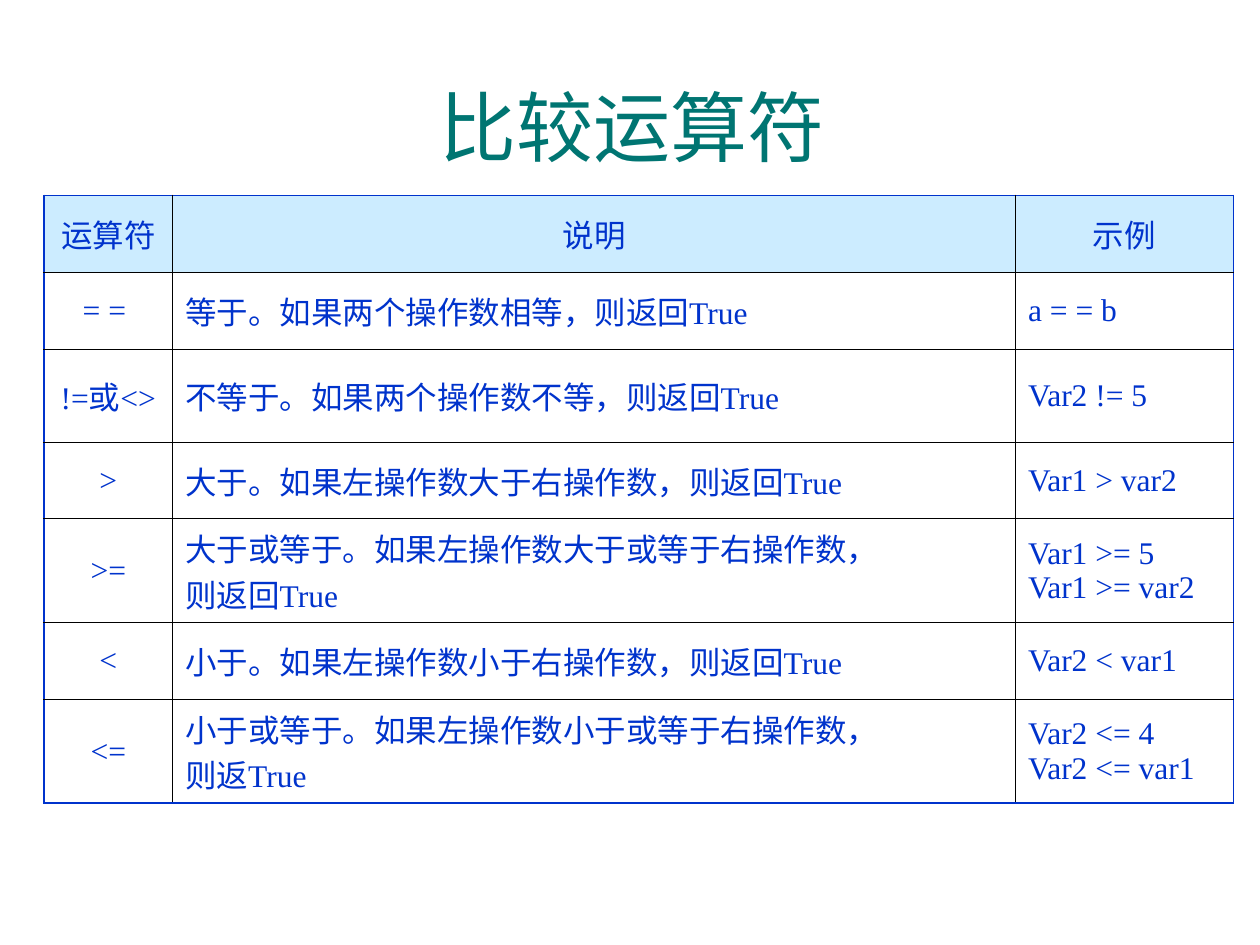
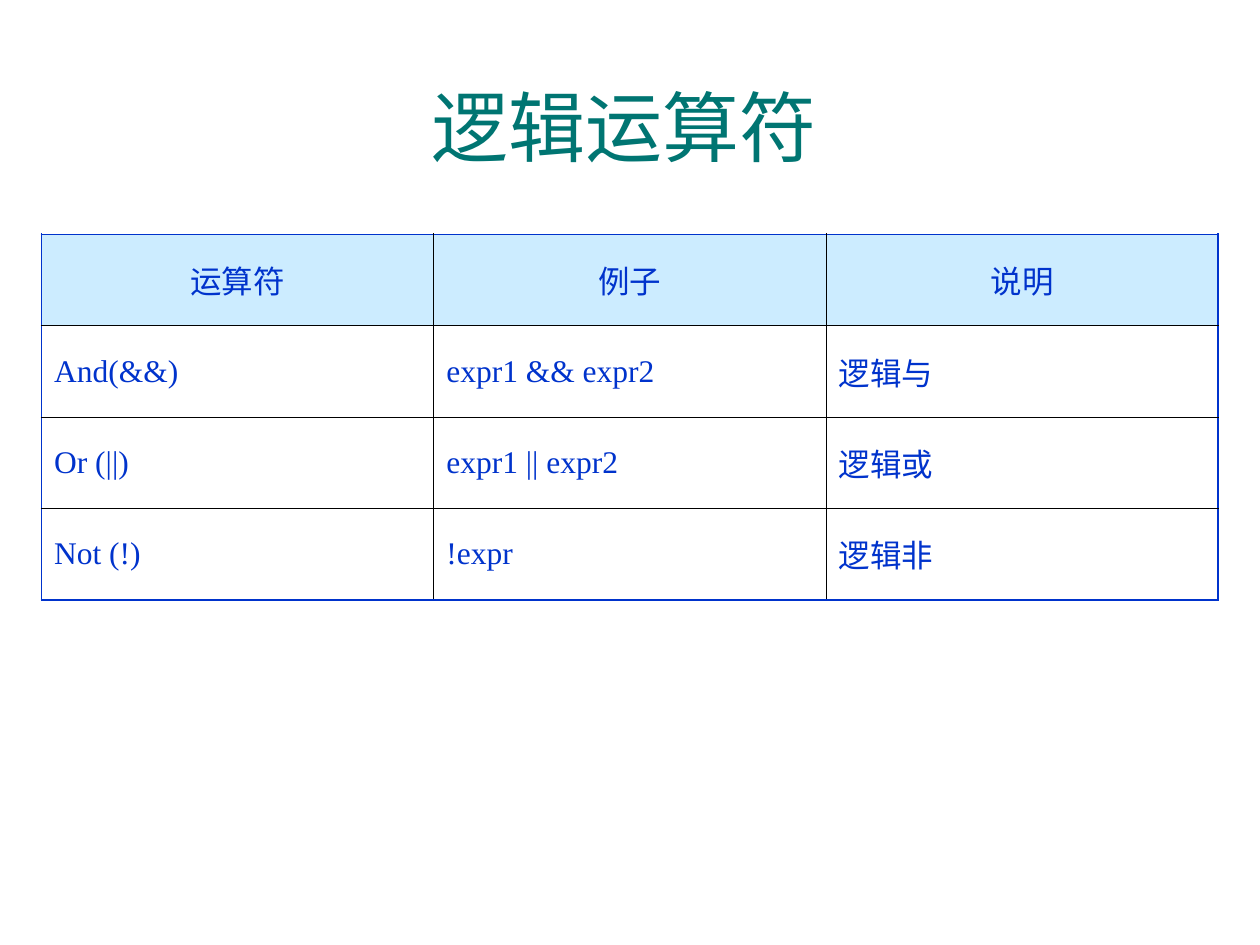
from dataclasses import dataclass

from lxml import etree
from pptx import Presentation
from pptx import util as u
from pptx.dml.color import RGBColor
from pptx.enum import text
from pptx.oxml.ns import qn


@dataclass(frozen=True)
class Theme:
    title_color: str = "007572"
    ink: str = "0033CC"
    header_fill: str = "CCECFF"
    rule: str = "000000"
    title_font: str = "Arial"
    body_font: str = "Times New Roman"
    title_size: float = 44
    body_size: float = 18
    frame_width: float = 1.08
    rule_width: float = 0.45
    hanging: float = 0.38


@dataclass(frozen=True)
class Area:
    """A rectangle in percent of the slide's width and height."""
    left: float
    top: float
    width: float
    height: float


@dataclass(frozen=True)
class OperatorTable:
    """Column widths and row heights are percent of the slide's size."""
    title: str
    left: float
    top: float
    columns: tuple[float, ...]
    heights: tuple[float, ...]
    centred_columns: tuple[int, ...]
    rows: tuple[tuple[str, ...], ...]


THEME = Theme()
SLIDE_W, SLIDE_H = u.Inches(10), u.Inches(7.5)
TITLE_AREA = Area(3.5, 4.93, 93.4, 16.67)
SHORT, TALL = 8.13, 9.33

COMPARISON = OperatorTable(
    title="比较运算符",
    left=3.5, top=20.67,
    columns=(10.2, 66.9, 17.3),
    heights=(SHORT, SHORT, TALL, SHORT, TALL, SHORT, TALL),
    centred_columns=(0,),
    rows=(
        ("运算符", "说明", "示例"),
        ("= = ", "等于。如果两个操作数相等，则返回True", "a = = b"),
        ("!=或<>", "不等于。如果两个操作数不等，则返回True", "Var2 != 5"),
        (">", "大于。如果左操作数大于右操作数，则返回True", "Var1 > var2"),
        (">=", "大于或等于。如果左操作数大于或等于右操作数，\n则返回True",
         "Var1 >= 5\nVar1 >= var2"),
        ("<", "小于。如果左操作数小于右操作数，则返回True", "Var2 < var1"),
        ("<=", "小于或等于。如果左操作数小于或等于右操作数，\n则返True",
         "Var2 <= 4\nVar2 <= var1"),
    ),
)

LOGIC = OperatorTable(
    title="逻辑运算符 ",
    left=3.3, top=24.8,
    columns=(31.13,) * 3,
    heights=(9.67,) * 4,
    centred_columns=(),
    rows=(
        ("运算符", "例子", "说明"),
        ("And(&&)", "expr1 && expr2", "逻辑与"),
        ("Or (||)", "expr1 || expr2", "逻辑或"),
        ("Not (!)", "!expr", "逻辑非"),
    ),
)


def across(percent: float) -> int:
    return round(SLIDE_W * percent / 100)


def down(percent: float) -> int:
    return round(SLIDE_H * percent / 100)


def place(area: Area) -> tuple[int, int, int, int]:
    return across(area.left), down(area.top), across(area.width), down(area.height)


def format_runs(p, font: str, size: float, color: str) -> None:
    for r in p.runs:
        r.font.name = font
        r.font.size = u.Pt(size)
        r.font.bold = False
        r.font.color.rgb = RGBColor.from_string(color)


def add_title(slide, title: str) -> None:
    sp = slide.shapes.title
    sp.left, sp.top, sp.width, sp.height = place(TITLE_AREA)
    tf = sp.text_frame
    tf.text = title
    tf.word_wrap = True
    tf.auto_size = text.MSO_AUTO_SIZE.NONE
    tf.vertical_anchor = text.MSO_ANCHOR.MIDDLE
    p = tf.paragraphs[0]
    p.alignment = text.PP_ALIGN.CENTER
    format_runs(p, THEME.title_font, THEME.title_size, THEME.title_color)


def set_borders(cell, framed: dict[str, bool]) -> None:
    """Draw the sides marked True as outer frame, the others as inner rules."""
    tc_pr = cell._tc.get_or_add_tcPr()
    for side, on_frame in framed.items():
        width = THEME.frame_width if on_frame else THEME.rule_width
        color = THEME.ink if on_frame else THEME.rule
        ln = etree.SubElement(tc_pr, qn(f"a:ln{side}"), w=str(u.Pt(width)))
        fill = etree.SubElement(ln, qn("a:solidFill"))
        etree.SubElement(fill, qn("a:srgbClr"), val=color)


def fill_cell(cell, content: str, header: bool, centred: bool) -> None:
    if header:
        cell.fill.solid()
        cell.fill.fore_color.rgb = RGBColor.from_string(THEME.header_fill)
    else:
        cell.fill.background()
    cell.vertical_anchor = text.MSO_ANCHOR.MIDDLE
    cell.text_frame.text = content
    hanging = u.Inches(THEME.hanging)
    for p in cell.text_frame.paragraphs:
        p_pr = p._p.get_or_add_pPr()
        p_pr.set("marL", str(hanging))
        p_pr.set("indent", str(-hanging))
        p.alignment = text.PP_ALIGN.CENTER if centred else text.PP_ALIGN.LEFT
        format_runs(p, THEME.body_font, THEME.body_size, THEME.ink)


def add_operator_table(slide, data: OperatorTable) -> None:
    area = Area(data.left, data.top, sum(data.columns), sum(data.heights))
    n_rows, n_cols = len(data.heights), len(data.columns)
    table = slide.shapes.add_table(n_rows, n_cols, *place(area)).table
    table.first_row = table.horz_banding = False
    for column, width in zip(table.columns, data.columns):
        column.width = across(width)
    for row, height in zip(table.rows, data.heights):
        row.height = down(height)
    for i, contents in enumerate(data.rows):
        for j, content in enumerate(contents):
            cell = table.cell(i, j)
            set_borders(cell, {"L": j == 0, "R": j == n_cols - 1,
                               "T": i == 0, "B": i == n_rows - 1})
            fill_cell(cell, content, header=i == 0,
                      centred=i == 0 or j in data.centred_columns)


def main() -> None:
    prs = Presentation()
    prs.slide_width, prs.slide_height = SLIDE_W, SLIDE_H
    title_only = prs.slide_layouts.get_by_name("Title Only")
    for data in (COMPARISON, LOGIC):
        slide = prs.slides.add_slide(title_only)
        add_title(slide, data.title)
        add_operator_table(slide, data)
    prs.save("out.pptx")


if __name__ == "__main__":
    main()
